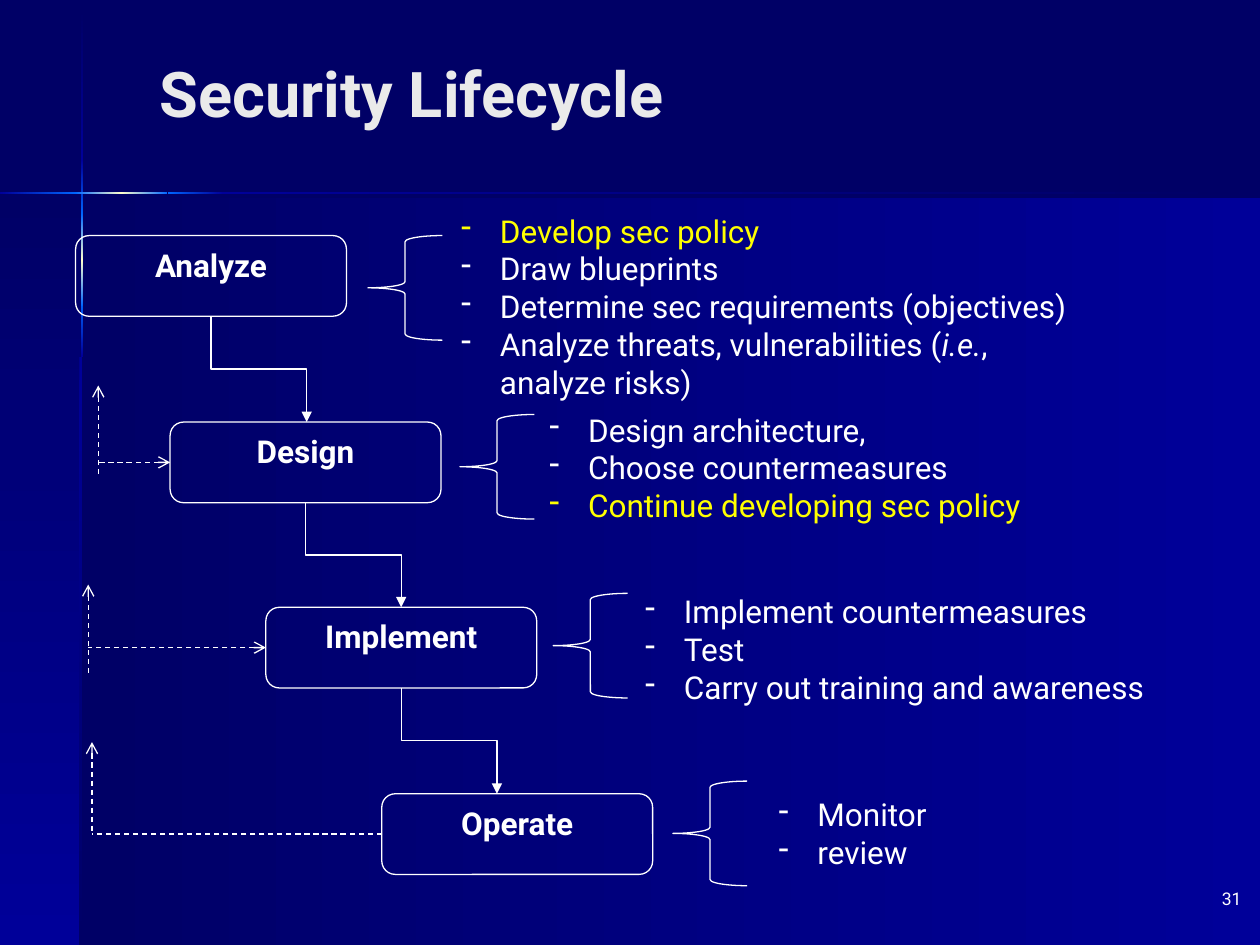
from copy import deepcopy

from lxml.etree import SubElement
from pptx import Presentation
from pptx.dml.color import RGBColor
from pptx.enum.dml import MSO_LINE
from pptx.enum.shapes import MSO_CONNECTOR, MSO_SHAPE
from pptx.enum.text import MSO_ANCHOR, PP_ALIGN
from pptx.oxml.ns import qn
from pptx.util import Inches, Pt

NAVY = RGBColor(0x00, 0x00, 0x66)
BLUE = RGBColor(0x00, 0x00, 0x99)
BRIGHT = RGBColor(0x00, 0x66, 0xFF)
CREAM = RGBColor(0xFF, 0xFF, 0xCC)
WHITE = RGBColor(0xFF, 0xFF, 0xFF)
SILVER = RGBColor(0xEA, 0xEA, 0xEA)
YELLOW = RGBColor(0xFF, 0xFF, 0x00)
FONT = "Roboto"

ACROSS, DOWN = 0, 270
BOX_WIDTH, BOX_HEIGHT = 2.15, 0.64
BRACE_WIDTH, BRACE_HEIGHT = 0.59, 0.83
FEEDBACK_HEIGHT = 0.72

BACKDROP = [
    (0.7, 1.57, 9.3, 5.93, ACROSS, [NAVY, BLUE]),
    (0, 1.49, 0.64, 6.01, DOWN, [NAVY, BLUE]),
    (0.64, 0.07, 0.02, 1.21, DOWN, [NAVY, BLUE]),
    (0.63, 2.83, 0.02, 4.67, DOWN, [BLUE, NAVY]),
    (1.61, 1.52, 8.23, 0.02, ACROSS, [BLUE, NAVY]),
    (0.64, 2.39, 0.02, 0.44, DOWN, [BRIGHT, BLUE]),
    (0.64, 1.27, 0.02, 0.44, DOWN, [BLUE, BRIGHT]),
    (0.64, 1.7, 0.02, 0.73, DOWN, [BRIGHT, CREAM, BRIGHT]),
    (0, 1.52, 0.61, 0.02, ACROSS, [BLUE, BRIGHT]),
    (1.33, 1.52, 0.44, 0.02, ACROSS, [BRIGHT, BLUE]),
    (0.6, 1.52, 0.73, 0.02, ACROSS, [BRIGHT, CREAM, BRIGHT]),
]

PHASES = [
    ("Analyze", (0.6, 1.87), (2.92, 1.87), (3.56, 1.63, 5.17, 1.62), [
        ("Develop sec policy", YELLOW),
        ("Draw blueprints", WHITE),
        ("Determine sec requirements (objectives)", WHITE),
        ("Analyze threats, vulnerabilities (|i.e.|, analyze risks)", WHITE),
    ]),
    ("Design", (1.35, 3.35), (3.65, 3.29), (4.26, 3.21, 4.07, 1.01), [
        ("Design architecture,", WHITE),
        ("Choose countermeasures", WHITE),
        ("Continue developing sec policy", YELLOW),
    ]),
    ("Implement", (2.11, 4.82), (4.39, 4.71), (5.02, 4.65, 4.44, 1.01), [
        ("Implement countermeasures", WHITE),
        ("Test", WHITE),
        ("Carry out training and awareness", WHITE),
    ]),
    ("Operate", (3.03, 6.3), (5.34, 6.2), (6.08, 6.26, 2.24, 0.71), [
        ("Monitor", WHITE),
        ("review", WHITE),
    ]),
]

FEEDBACK = [(1, 0.78, 3.06, True), (2, 0.7, 4.64, True), (3, 0.73, 5.89, False)]


def set_font(paragraph, size, color, bold=False):
    font = paragraph.font
    font.name, font.size, font.bold = FONT, Pt(size), bold
    font.color.rgb = color


def add_gradient_bar(slide, left, top, width, height, angle, colors):
    shape = slide.shapes.add_shape(
        MSO_SHAPE.RECTANGLE, Inches(left), Inches(top), Inches(width), Inches(height))
    shape.shadow.inherit = False
    shape.line.fill.background()
    shape.fill.gradient()
    shape.fill.gradient_angle = angle
    stop_list = shape._element.spPr.find(".//" + qn("a:gsLst"))
    while len(stop_list) < len(colors):
        stop_list.append(deepcopy(stop_list[0]))
    for index, (stop, color) in enumerate(zip(shape.fill.gradient_stops, colors)):
        stop.color.rgb = color
        stop.position = index / (len(colors) - 1)


def add_outline(slide, kind, left, top, width, height):
    shape = slide.shapes.add_shape(
        kind, Inches(left), Inches(top), Inches(width), Inches(height))
    shape.shadow.inherit = False
    shape.fill.background()
    shape.line.color.rgb = WHITE
    shape.line.width = Pt(0.75)
    return shape


def add_phase_box(slide, name, left, top):
    box = add_outline(slide, MSO_SHAPE.ROUNDED_RECTANGLE, left, top, BOX_WIDTH, BOX_HEIGHT)
    box.text_frame.vertical_anchor = MSO_ANCHOR.TOP
    paragraph = box.text_frame.paragraphs[0]
    paragraph.text = name
    paragraph.alignment = PP_ALIGN.CENTER
    set_font(paragraph, 18, WHITE, True)
    return box


def add_text_box(slide, left, top, width, height):
    box = slide.shapes.add_textbox(
        Inches(left), Inches(top), Inches(width), Inches(height))
    box.text_frame.word_wrap = True
    return box.text_frame


def add_label(slide, place, text, size, color, alignment, bold=False):
    frame = add_text_box(slide, *place)
    frame.vertical_anchor = MSO_ANCHOR.MIDDLE
    paragraph = frame.paragraphs[0]
    paragraph.text = text
    paragraph.alignment = alignment
    set_font(paragraph, size, color, bold)


def add_dash_list(slide, place, items):
    frame = add_text_box(slide, *place)
    for index, (text, color) in enumerate(items):
        paragraph = frame.paragraphs[0] if index == 0 else frame.add_paragraph()
        properties = paragraph._p.get_or_add_pPr()
        properties.set("marL", str(Inches(0.31)))
        properties.set("indent", str(Inches(-0.31)))
        SubElement(properties, qn("a:buChar"), char="-")
        set_font(paragraph, 18, color)
        for part, piece in enumerate(text.split("|")):
            run = paragraph.add_run()
            run.text = piece
            if part % 2:
                run.font.italic = True


def add_line(slide, kind, start, end):
    line = slide.shapes.add_connector(kind, *map(Inches, start + end))
    line.line.color.rgb = WHITE
    line.line.width = Pt(0.75)
    SubElement(line._element.spPr, qn("a:effectLst"))
    return line


def add_arrowhead(line, end, kind):
    SubElement(line.line._get_or_add_ln(), qn(end), type=kind)


def add_step(slide, box, start, end):
    line = add_line(slide, MSO_CONNECTOR.ELBOW, start, end)
    line.begin_connect(box, 2)
    run, drop = end[0] - start[0], end[1] - start[1]
    line.left = Inches((start[0] + end[0] - drop) / 2)
    line.top = Inches((start[1] + end[1] - run) / 2)
    line.width, line.height = Inches(drop), Inches(run)
    transform = line._element.spPr.find(qn("a:xfrm"))
    transform.set("rot", str(270 * 60000))
    transform.set("flipH", "1")
    add_arrowhead(line, "a:tailEnd", "triangle")


def add_feedback(slide, box, corner, x, top, points_to_box):
    middle = corner[1] + BOX_HEIGHT / 2
    branch = add_line(slide, MSO_CONNECTOR.STRAIGHT, (corner[0], middle), (x, middle))
    branch.begin_connect(box, 1)
    riser = add_line(slide, MSO_CONNECTOR.STRAIGHT, (x, top), (x, top + FEEDBACK_HEIGHT))
    for line in (branch, riser):
        line.line.dash_style = MSO_LINE.DASH
    if points_to_box:
        add_arrowhead(branch, "a:headEnd", "arrow")
    add_arrowhead(riser, "a:headEnd", "arrow")


def main():
    presentation = Presentation()
    presentation.slide_width, presentation.slide_height = Inches(10), Inches(7.5)
    slide = presentation.slides.add_slide(presentation.slide_layouts[6])
    slide.background.fill.solid()
    slide.background.fill.fore_color.rgb = NAVY
    for bar in BACKDROP:
        add_gradient_bar(slide, *bar)
    add_label(slide, (1.17, 0, 8.25, 1.47), "Security Lifecycle", 36, SILVER,
              PP_ALIGN.LEFT, True)
    add_label(slide, (7.87, 6.88, 2.08, 0.5), "31", 10, WHITE, PP_ALIGN.RIGHT)

    boxes = []
    for name, corner, brace, place, items in PHASES:
        boxes.append(add_phase_box(slide, name, *corner))
        add_outline(slide, MSO_SHAPE.LEFT_BRACE, *brace, BRACE_WIDTH, BRACE_HEIGHT)
        add_dash_list(slide, place, items)
    for box, phase, following in zip(boxes, PHASES, PHASES[1:]):
        left, top = phase[1]
        x = left + BOX_WIDTH / 2
        add_step(slide, box, (x, top + BOX_HEIGHT), (x + 0.76, following[1][1]))
    for index, x, top, points_to_box in FEEDBACK:
        add_feedback(slide, boxes[index], PHASES[index][1], x, top, points_to_box)
    presentation.save("out.pptx")


if __name__ == "__main__":
    main()
